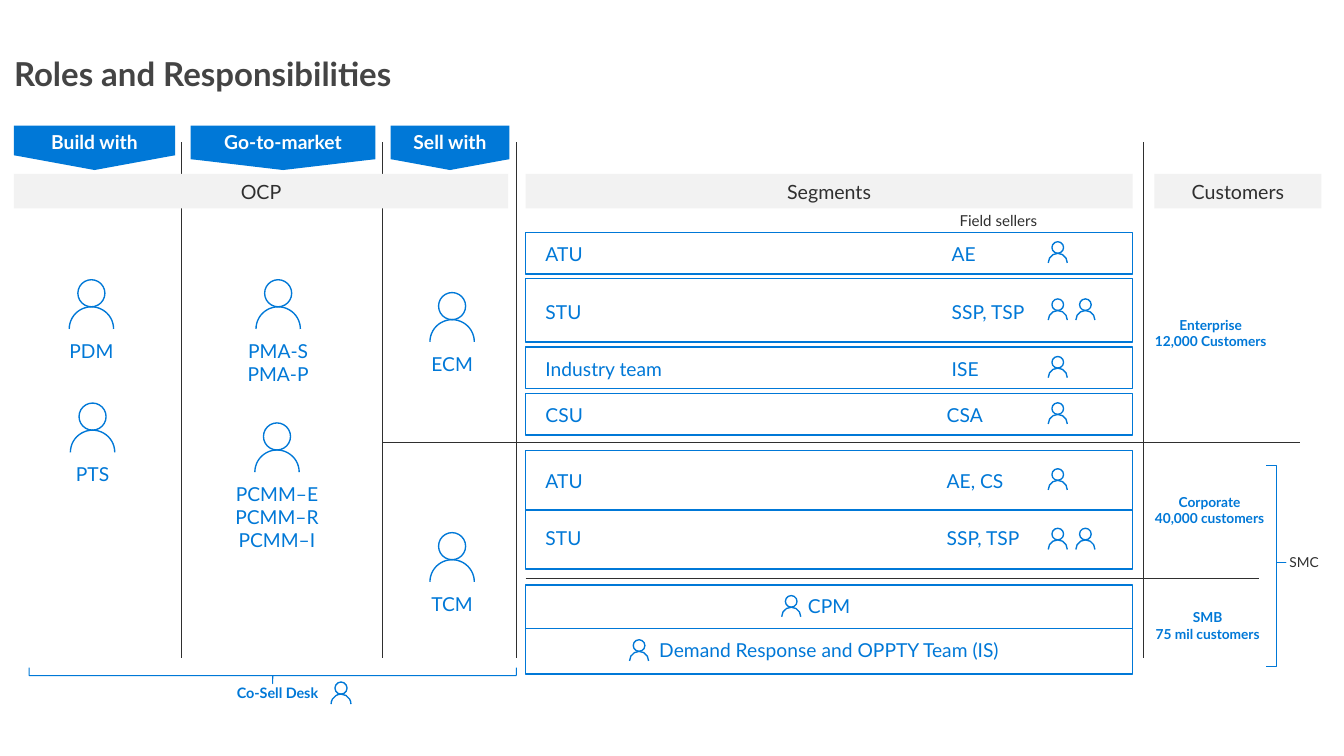
from lxml import etree
from pptx import Presentation
from pptx import util as u
from pptx.dml.color import RGBColor
from pptx.enum import shapes, text
from pptx.oxml.ns import qn

BLUE, DARK, GREY, WHITE = "0078D7", "2F2F2F", "F2F2F2", "FFFFFF"
KIND, ALIGN, ANCHOR = shapes.MSO_SHAPE, text.PP_ALIGN, text.MSO_ANCHOR


def tint(code):
    return RGBColor.from_string(code)


def cms(*vals):
    return [u.Cm(v) for v in vals]


def write(shape, words, size=14, color=BLUE, bold=False, align=ALIGN.CENTER,
          anchor=ANCHOR.MIDDLE, pads=(0.25, 0.13, 0.25, 0.13), wrap=True,
          space=None, tab=None):
    """Fill a shape with one paragraph per line; tab is a stop in cm."""
    frame = shape.text_frame
    frame.auto_size = text.MSO_AUTO_SIZE.NONE
    frame.word_wrap, frame.vertical_anchor = wrap, anchor
    (frame.margin_left, frame.margin_top,
     frame.margin_right, frame.margin_bottom) = cms(*pads)
    for i, line in enumerate(words.split("\n")):
        para = frame.add_paragraph() if i else frame.paragraphs[0]
        para.alignment = align
        if space:
            para.line_spacing = space
        if tab:
            stops = etree.SubElement(para._p.get_or_add_pPr(), qn("a:tabLst"))
            etree.SubElement(stops, qn("a:tab"), pos=str(u.Cm(tab)), algn="l")
        run = para.add_run()
        run.text = line
        font = run.font
        font.name, font.size, font.bold = "Lato", u.Pt(size), bold
        font.color.rgb = tint(color)


def style(shape, fill=None, line=None, width=1):
    shape.shadow.inherit = False
    if fill:
        shape.fill.solid()
        shape.fill.fore_color.rgb = tint(fill)
    else:
        shape.fill.background()
    if line:
        shape.line.color.rgb = tint(line)
        shape.line.width = u.Pt(width)
    else:
        shape.line.fill.background()
    return shape


def block(slide, kind, x, y, w, h, **look):
    return style(slide.shapes.add_shape(kind, *cms(x, y, w, h)), **look)


def label(slide, words, x, y, w, h, **fmt):
    write(slide.shapes.add_textbox(*cms(x, y, w, h)), words, **fmt)


def rule(slide, x1, y1, x2, y2):
    line = slide.shapes.add_connector(
        shapes.MSO_CONNECTOR.STRAIGHT, *cms(x1, y1, x2, y2))
    line.line.color.rgb = tint(DARK)
    line.line.width = u.Pt(0.75)
    etree.SubElement(line._element.spPr, qn("a:effectLst"))


def person(slide, x, y, w):
    """Draw a round head over a half-circle body, 1.11 times as tall as wide."""
    mid, top, base = x + w / 2, y + 0.61 * w, y + 1.11 * w
    head, body = 0.305 * w, 0.5 * w
    pen = slide.shapes.build_freeform(*cms(mid + head, y + head))
    pen.add_line_segments([cms(mid, y), cms(mid - head, y + head),
                           cms(mid, top), cms(mid + head, y + head)])
    pen.move_to(*cms(mid + body, base))
    pen.add_line_segments([cms(mid, top), cms(mid - body, base)], close=False)
    icon = style(pen.convert_to_shape(), line=BLUE)
    # Each straight step becomes a quarter turn: four for the head, two below.
    turns = [(head, a) for a in (0, 270, 180, 90)] + [(body, 0), (body, 270)]
    steps = list(icon._element.iter(qn("a:lnTo")))
    for step, (rad, start) in zip(steps, turns):
        size = str(u.Cm(rad))
        arc = etree.Element(qn("a:arcTo"), wR=size, hR=size,
                            stAng=str(start * 60000), swAng="-5400000")
        step.getparent().replace(step, arc)


def title(slide, words, x, y, w, h):
    box = slide.shapes.title
    box.left, box.top, box.width, box.height = cms(x, y, w, h)
    write(box, words, size=24, color="444444", bold=True, align=ALIGN.LEFT,
          anchor=ANCHOR.TOP, pads=(0, 0.18, 0, 0), space=0.9)


def flag(slide, words, x, y, w, h, deep):
    """Draw a header box of height deep that ends in a point at y + h."""
    top = block(slide, KIND.RECTANGLE, x, y, w, deep, fill=BLUE)
    write(top, words, color=WHITE, bold=True, anchor=ANCHOR.TOP)
    tip = block(slide, KIND.ISOSCELES_TRIANGLE, x, y + deep, w, h - deep,
                fill=BLUE)
    tip.rotation = 180


def bar(slide, words, x, y, w, h):
    write(block(slide, KIND.RECTANGLE, x, y, w, h, fill=GREY), words,
          size=14.3, color=DARK)


def role(slide, words, x, y, w=1.14):
    person(slide, x, y, w)
    high = 0.28 + 0.59 * len(words.split("\n"))
    label(slide, words, x + w / 2 - 1.35, y + 1.4, 2.7, high,
          anchor=ANCHOR.TOP)


def row(slide, words, x, y, w, h, icons, tab=None, pad=0.38):
    """Draw a segment row; icons are offsets from its left edge."""
    box = block(slide, KIND.RECTANGLE, x, y, w, h, line=BLUE)
    write(box, words, align=ALIGN.LEFT if tab else ALIGN.CENTER,
          pads=(0.51, pad, 0.51, 0.25), space=0.9, tab=tab)
    size = 0.49
    for off in icons:
        person(slide, x + off, y + (h - 1.11 * size) / 2 - 0.02, size)


def grid(slide, top, base):
    for x in (4.67, 9.83, 13.28, 29.39):
        rule(slide, x, top, x, base)
    rule(slide, 9.83, 11.38, 33.4, 11.38)
    rule(slide, 13.51, 14.86, 32.36, 14.86)


def partners(slide, x, y):
    for words, dx, w, deep in (("Build with", 0, 4.14, 0.76),
                               ("Go-to-market", 4.54, 4.75, 0.86),
                               ("Sell with", 9.68, 3.05, 0.86)):
        flag(slide, words, x + dx, y, w, 1.14, deep)
    bar(slide, "OCP", x, y + 1.24, 12.7, 0.89)
    for words, dx, dy in (("PDM", 1.42, 3.96), ("PTS", 1.45, 7.13),
                          ("PMA-S\nPMA-P", 6.22, 3.96),
                          ("PCMM–E\nPCMM–R\nPCMM–I", 6.19, 7.64),
                          ("ECM", 10.69, 4.29), ("TCM", 10.69, 10.46)):
        role(slide, words, x + dx, y + dy)


def desk(slide, x, y, w, h):
    """Draw the brace over the given box, with its name below."""
    brace = block(slide, KIND.LEFT_BRACE, x + (w - h) / 2, y - (w - h) / 2,
                  h, w, line=BLUE, width=0.75)
    brace.rotation = 270
    brace.adjustments[0] = 0.007
    label(slide, "Co-Sell Desk", x + 5.04, y + 0.29, 2.69, 0.71,
          size=10.5, bold=True, wrap=False)
    person(slide, x + 7.76, y + 0.37, 0.51)


def segments(slide, x, y, w):
    bar(slide, "Segments", x, y, w, 0.89)
    label(slide, "Field sellers", x + 10.9, y + 0.84, 3.45, 0.74, size=11,
          color=DARK, align=ALIGN.LEFT)
    one, two = (13.43,), (13.43, 14.14)
    for words, dy, h, icons, tab, pad in (
            ("ATU\tAE", 1.5, 1.07, one, 10.44, 0.38),
            ("STU\tSSP, TSP", 2.69, 1.63, two, 10.44, 0.38),
            ("Industry team\tISE", 4.45, 1.07, one, 10.44, 0.38),
            ("CSU\tCSA", 5.64, 1.07, one, 10.31, 0.38),
            ("ATU\tAE, CS", 7.11, 1.52, one, 10.31, 0.38),
            ("STU\tSSP, TSP", 8.64, 1.52, two, 10.31, 0.25),
            ("CPM", 10.57, 1.12, (6.58,), None, 0.25),
            ("Demand Response and OPPTY Team (IS)", 11.68, 1.17, (2.67,),
             None, 0.25)):
        row(slide, words, x, y + dy, w, h, icons, tab, pad)


def clients(slide, x, y, w):
    bar(slide, "Customers", x, y, w, 0.89)
    for words, dy, wide in (("Enterprise\n12,000 Customers", 3.53, 3.51),
                            ("Corporate\n40,000 customers", 8.08, 3.45),
                            ("SMB\n75 mil customers", 11.05, 3.35)):
        label(slide, words, x - 0.31, y + dy, wide, 1.12, size=10, bold=True,
              wrap=False)
    brace = block(slide, KIND.RIGHT_BRACE, x + 2.87, y + 7.49, 0.51, 5.16,
                  line=BLUE, width=0.75)
    brace.adjustments[0], brace.adjustments[1] = 0, 0.483
    label(slide, "SMC", x + 3.22, y + 9.63, 1.63, 0.69, size=10, color=DARK,
          align=ALIGN.LEFT)


def main():
    deck = Presentation()
    deck.slide_width, deck.slide_height = cms(34.54, 19.43)
    slide = deck.slides.add_slide(deck.slide_layouts[5])
    title(slide, "Roles and Responsibilities", 0.36, 1.32, 30.33, 1.09)
    grid(slide, 3.66, 16.92)
    partners(slide, 0.36, 3.23)
    desk(slide, 0.75, 17.16, 12.52, 0.41)
    segments(slide, 13.51, 4.47, 15.6)
    clients(slide, 29.67, 4.47, 4.29)
    deck.save("out.pptx")


if __name__ == "__main__":
    main()
